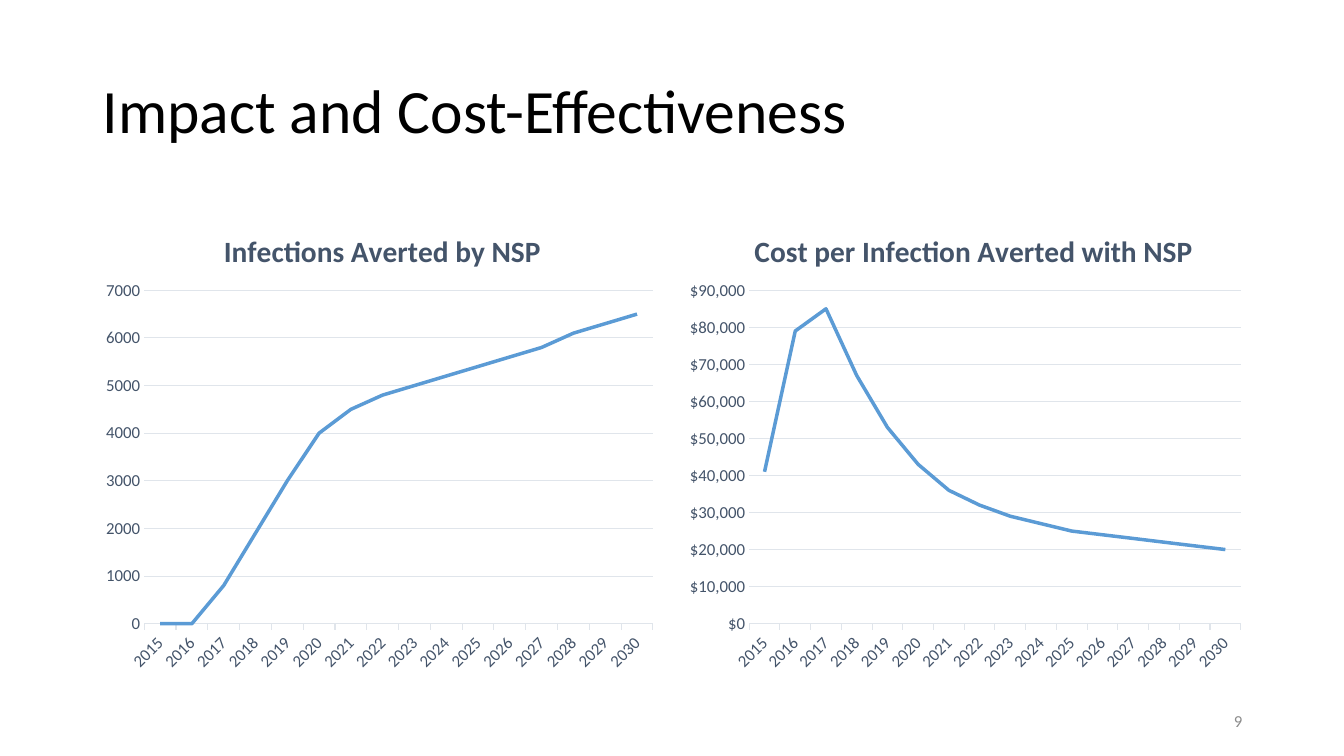
from dataclasses import dataclass

from lxml.etree import SubElement
from pptx import Presentation
from pptx.chart.data import CategoryChartData
from pptx.dml.color import RGBColor
from pptx.enum.chart import XL_CHART_TYPE, XL_TICK_MARK
from pptx.enum.text import MSO_ANCHOR, PP_ALIGN
from pptx.oxml.ns import qn
from pptx.util import Inches, Pt

FONT = "Calibri"
BLACK = RGBColor(0x00, 0x00, 0x00)
GRAY = RGBColor(0x8C, 0x8C, 0x8C)
SLATE = RGBColor(0x44, 0x54, 0x6A)
GRID = RGBColor(0xE0, 0xE5, 0xEB)
BLUE = RGBColor(0x5B, 0x9B, 0xD5)

YEARS = [str(year) for year in range(2015, 2031)]


@dataclass
class LinePanel:
    title: str
    left: float
    values: list[int]
    maximum: int
    step: int
    number_format: str
    title_x: float
    plot_x: float
    plot_width: float


PANELS = [
    LinePanel("Infections Averted by NSP", 0.92,
              [0, 0, 800, 1900, 3000, 4000, 4500, 4800,
               5000, 5200, 5400, 5600, 5800, 6100, 6300, 6500],
              7000, 1000, "General", 0.22, 0.09, 0.89),
    LinePanel("Cost per Infection Averted with NSP", 6.75,
              [41000, 79000, 85000, 67000, 53000, 43000, 36000, 32000,
               29000, 27000, 25000, 24000, 23000, 22000, 21000, 20000],
              90000, 10000, '"$"#,##0', 0.12, 0.12, 0.86),
]


def style_font(font, size: float, color: RGBColor, bold: bool = False) -> None:
    font.name = FONT
    font.size = Pt(size)
    font.bold = bold
    font.color.rgb = color


def add_text(slide, text: str, left: float, top: float, width: float, height: float, *,
             size: float, color: RGBColor, align=PP_ALIGN.LEFT, spacing: float = 1.0) -> None:
    box = slide.shapes.add_textbox(Inches(left), Inches(top), Inches(width), Inches(height))
    frame = box.text_frame
    frame.word_wrap = True
    frame.vertical_anchor = MSO_ANCHOR.MIDDLE
    paragraph = frame.paragraphs[0]
    paragraph.alignment = align
    paragraph.line_spacing = spacing
    run = paragraph.add_run()
    run.text = text
    style_font(run.font, size, color)


def place(element, index: int, **settings) -> None:
    """Give a chart title or plot area a manual layout, in fractions of the chart."""
    for previous in element.findall(qn("c:layout")):
        element.remove(previous)
    layout = SubElement(element, qn("c:layout"))
    element.insert(index, layout)
    manual = SubElement(layout, qn("c:manualLayout"))
    for name, value in settings.items():
        SubElement(manual, qn(f"c:{name}")).set("val", str(value))


def style_line(line, color: RGBColor, width: float) -> None:
    line.color.rgb = color
    line.width = Pt(width)


def add_line_panel(slide, panel: LinePanel) -> None:
    data = CategoryChartData(number_format=panel.number_format)
    data.categories = YEARS
    data.add_series("Series 1", panel.values)
    chart = slide.shapes.add_chart(
        XL_CHART_TYPE.LINE, Inches(panel.left), Inches(2),
        Inches(5.67), Inches(4.76), data).chart
    style_font(chart.font, 10, BLACK)
    chart.has_legend = False

    chart.has_title = True
    title = chart.chart_title
    run = title.text_frame.paragraphs[0].add_run()
    run.text = panel.title
    style_font(run.font, 21, SLATE, bold=True)
    place(title._element, 1, xMode="edge", yMode="edge", x=panel.title_x, y=0.05)

    plot = chart.plots[0]
    plot.vary_by_categories = False
    place(plot._element.getparent(), 0, layoutTarget="inner", xMode="edge", yMode="edge",
          x=panel.plot_x, y=0.185, w=panel.plot_width, h=0.695)
    series = plot.series[0]
    series.smooth = False
    style_line(series.format.line, BLUE, 2.5)

    category_axis, value_axis = chart.category_axis, chart.value_axis
    for axis in (category_axis, value_axis):
        axis.minor_tick_mark = XL_TICK_MARK.NONE
        style_font(axis.tick_labels.font, 12, SLATE)
    category_axis.major_tick_mark = XL_TICK_MARK.OUTSIDE
    style_line(category_axis.format.line, GRID, 0.75)
    label_body = category_axis._element.find(qn("c:txPr")).find(qn("a:bodyPr"))
    label_body.set("rot", str(-45 * 60000))

    value_axis.major_tick_mark = XL_TICK_MARK.NONE
    value_axis.format.line.fill.background()
    value_axis.has_major_gridlines = True
    style_line(value_axis.major_gridlines.format.line, GRID, 0.75)
    value_axis.minimum_scale = 0
    value_axis.maximum_scale = panel.maximum
    value_axis.major_unit = panel.step
    value_axis.tick_labels.number_format = panel.number_format
    value_axis.tick_labels.number_format_is_linked = False


def main() -> None:
    presentation = Presentation()
    presentation.slide_width = Inches(13.33)
    presentation.slide_height = Inches(7.5)
    slide = presentation.slides.add_slide(presentation.slide_layouts[6])

    add_text(slide, "Impact and Cost-Effectiveness", 0.92, 0.4, 11.5, 1.45,
             size=44, color=BLACK, spacing=0.9)
    for panel in PANELS:
        add_line_panel(slide, panel)
    add_text(slide, "9", 9.42, 6.95, 3, 0.4, size=12, color=GRAY, align=PP_ALIGN.RIGHT)

    presentation.save("out.pptx")


if __name__ == "__main__":
    main()
